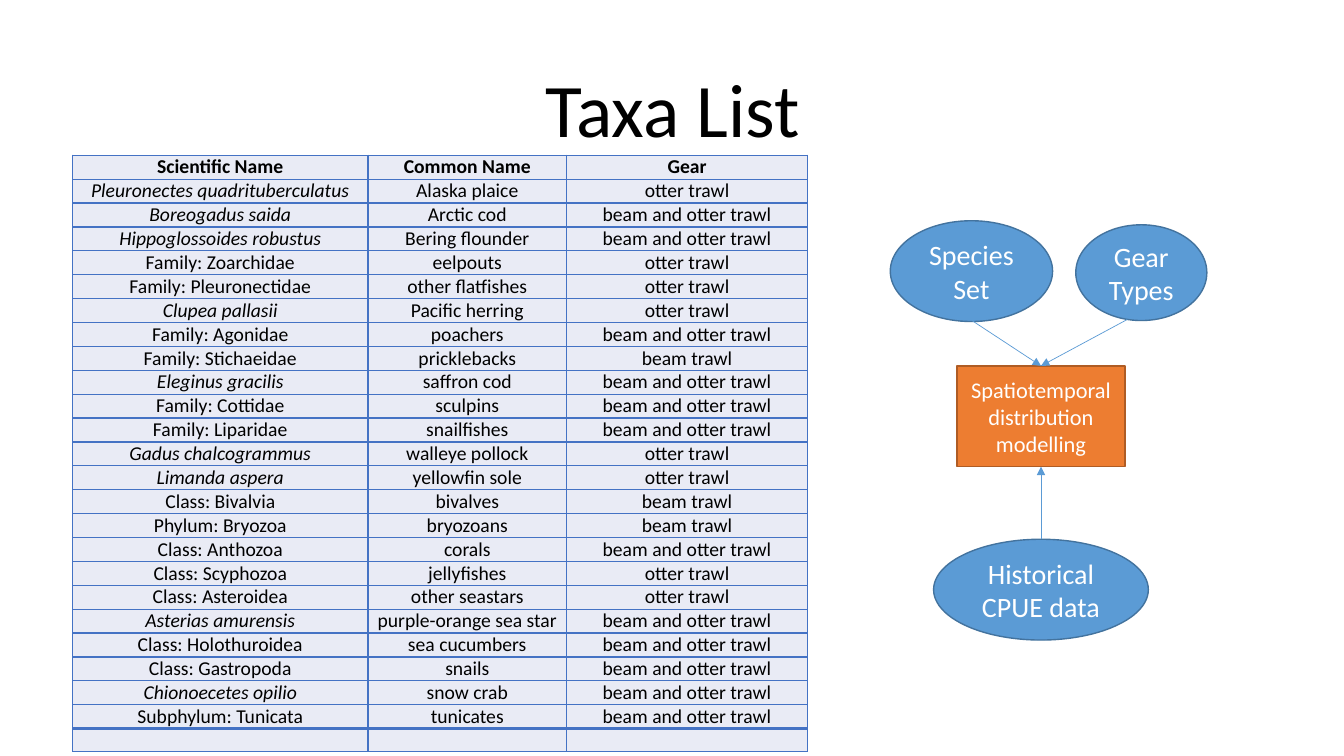
"""Build the Taxa List slide: a species and gear table beside a modelling diagram."""
from lxml import etree
from pptx import Presentation
from pptx.dml.color import RGBColor
from pptx.enum.shapes import MSO_CONNECTOR, MSO_SHAPE
from pptx.enum.text import MSO_ANCHOR, PP_ALIGN
from pptx.oxml.ns import qn
from pptx.util import Inches, Pt

CENTER = PP_ALIGN.CENTER
TOP, MIDDLE, BOTTOM = MSO_ANCHOR.TOP, MSO_ANCHOR.MIDDLE, MSO_ANCHOR.BOTTOM
RECTANGLE, OVAL = MSO_SHAPE.RECTANGLE, MSO_SHAPE.OVAL
STRAIGHT = MSO_CONNECTOR.STRAIGHT

BLACK = RGBColor(0x00, 0x00, 0x00)
WHITE = RGBColor(0xFF, 0xFF, 0xFF)
PALE_BLUE = RGBColor(0xE9, 0xEB, 0xF5)
GRID_BLUE = RGBColor(0x44, 0x72, 0xC4)
BLUE = RGBColor(0x5B, 0x9B, 0xD5)
DARK_BLUE = RGBColor(0x43, 0x73, 0x9E)
ORANGE = RGBColor(0xED, 0x7D, 0x31)
DARK_ORANGE = RGBColor(0xAF, 0x5C, 0x24)
FONT = "Calibri"

OTTER, BEAM, BOTH = "otter trawl", "beam trawl", "beam and otter trawl"
TAXA = [
    ("Scientific Name", "Common Name", "Gear"),
    ("Pleuronectes quadrituberculatus", "Alaska plaice", OTTER),
    ("Boreogadus saida", "Arctic cod", BOTH),
    ("Hippoglossoides robustus", "Bering flounder", BOTH),
    ("Family: Zoarchidae", "eelpouts", OTTER),
    ("Family: Pleuronectidae", "other flatfishes", OTTER),
    ("Clupea pallasii", "Pacific herring", OTTER),
    ("Family: Agonidae", "poachers", BOTH),
    ("Family: Stichaeidae", "pricklebacks", BEAM),
    ("Eleginus gracilis", "saffron cod", BOTH),
    ("Family: Cottidae", "sculpins", BOTH),
    ("Family: Liparidae", "snailfishes", BOTH),
    ("Gadus chalcogrammus", "walleye pollock", OTTER),
    ("Limanda aspera", "yellowfin sole", OTTER),
    ("Class: Bivalvia", "bivalves", BEAM),
    ("Phylum: Bryozoa", "bryozoans", BEAM),
    ("Class: Anthozoa", "corals", BOTH),
    ("Class: Scyphozoa", "jellyfishes", OTTER),
    ("Class: Asteroidea", "other seastars", OTTER),
    ("Asterias amurensis", "purple-orange sea star", BOTH),
    ("Class: Holothuroidea", "sea cucumbers", BOTH),
    ("Class: Gastropoda", "snails", BOTH),
    ("Chionoecetes opilio", "snow crab", BOTH),
    ("Subphylum: Tunicata", "tunicates", BOTH),
    ("", "", ""),
]
COLUMN_WIDTHS = (2.93, 1.97, 2.39)
ROW_HEIGHT = 0.23


def style_text(paragraph, size, color):
    paragraph.alignment = CENTER
    for run in paragraph.runs:
        run.font.name = FONT
        run.font.size = Pt(size)
        run.font.color.rgb = color


def add_border(cell, side, width):
    border = etree.SubElement(cell._tc.get_or_add_tcPr(), qn(f"a:{side}"), w=str(Pt(width)))
    fill = etree.SubElement(border, qn("a:solidFill"))
    etree.SubElement(fill, qn("a:srgbClr"), val=str(GRID_BLUE))


prs = Presentation()
prs.slide_width, prs.slide_height = Inches(13.33), Inches(7.5)
slide = prs.slides.add_slide(prs.slide_layouts[5])

title = slide.shapes.title
title.left, title.top = Inches(0.92), Inches(0.4)
title.width, title.height = Inches(11.5), Inches(1.45)
title.text_frame.text = "Taxa List"
title.text_frame.vertical_anchor = MIDDLE
title.text_frame.paragraphs[0].line_spacing = 0.9
style_text(title.text_frame.paragraphs[0], 54, BLACK)

taxa_table = slide.shapes.add_table(
    len(TAXA), len(COLUMN_WIDTHS), Inches(0.72), Inches(1.54),
    Inches(sum(COLUMN_WIDTHS)), Inches(ROW_HEIGHT * len(TAXA))).table
taxa_table.first_row = taxa_table.horz_banding = False
for column, width in zip(taxa_table.columns, COLUMN_WIDTHS):
    column.width = Inches(width)

last_row = len(TAXA) - 1
for row, taxon in enumerate(TAXA):
    taxa_table.rows[row].height = Inches(ROW_HEIGHT)
    for col, entry in enumerate(taxon):
        cell = taxa_table.cell(row, col)
        cell.text_frame.text = entry
        cell.margin_left = cell.margin_right = Inches(0.07)
        cell.margin_top = cell.margin_bottom = 0
        cell.vertical_anchor = TOP if row else BOTTOM
        paragraph = cell.text_frame.paragraphs[0]
        paragraph.space_before = paragraph.space_after = Pt(1.8)
        style_text(paragraph, 14, BLACK)
        for run in paragraph.runs:
            run.font.bold = row == 0
            run.font.italic = row > 0 and col == 0 and ":" not in entry
        if not entry:
            etree.SubElement(paragraph._p, qn("a:endParaRPr"), sz="1200")
        for side in ("lnL", "lnR", "lnT", "lnB"):
            above_last = (row, side) in ((last_row, "lnT"), (last_row - 1, "lnB"))
            add_border(cell, side, 2 if above_last else 1)
        cell.fill.solid()
        cell.fill.fore_color.rgb = PALE_BLUE

NODES = [
    ("Spatiotemporal distribution modelling", RECTANGLE, 9.49, 3.63, 1.67, 1, ORANGE, DARK_ORANGE, 16),
    ("Species Set", OVAL, 8.83, 2.19, 1.61, 1, BLUE, DARK_BLUE, 20),
    ("Gear Types", OVAL, 10.67, 2.23, 1.3, 0.95, BLUE, DARK_BLUE, 20),
    ("Historical CPUE data", OVAL, 9.26, 5.35, 2.13, 1, BLUE, DARK_BLUE, 20),
]
nodes = []
for label, outline, left, top, width, height, fill, edge, size in NODES:
    node = slide.shapes.add_shape(
        outline, Inches(left), Inches(top), Inches(width), Inches(height))
    node.shadow.inherit = False
    node.fill.solid()
    node.fill.fore_color.rgb = fill
    node.line.color.rgb = edge
    node.line.width = Pt(1)
    node.text_frame.text = label
    node.text_frame.word_wrap = True
    node.text_frame.vertical_anchor = MIDDLE
    style_text(node.text_frame.paragraphs[0], size, WHITE)
    nodes.append(node)
modelling, species, gear, history = nodes

for start_x, start_y, model_side in ((11.18, 3.17, 0), (9.64, 3.18, 0), (10.32, 5.35, 2)):
    arrow = slide.shapes.add_connector(STRAIGHT, Inches(start_x), Inches(start_y), 0, 0)
    if model_side == 2:
        arrow.begin_connect(history, 0)
    arrow.end_connect(modelling, model_side)
    arrow.line.color.rgb = BLUE
    arrow.line.width = Pt(0.5)
    etree.SubElement(arrow.line._get_or_add_ln(), qn("a:tailEnd"), type="triangle")
    etree.SubElement(arrow._element.spPr, qn("a:effectLst"))

prs.save("out.pptx")
